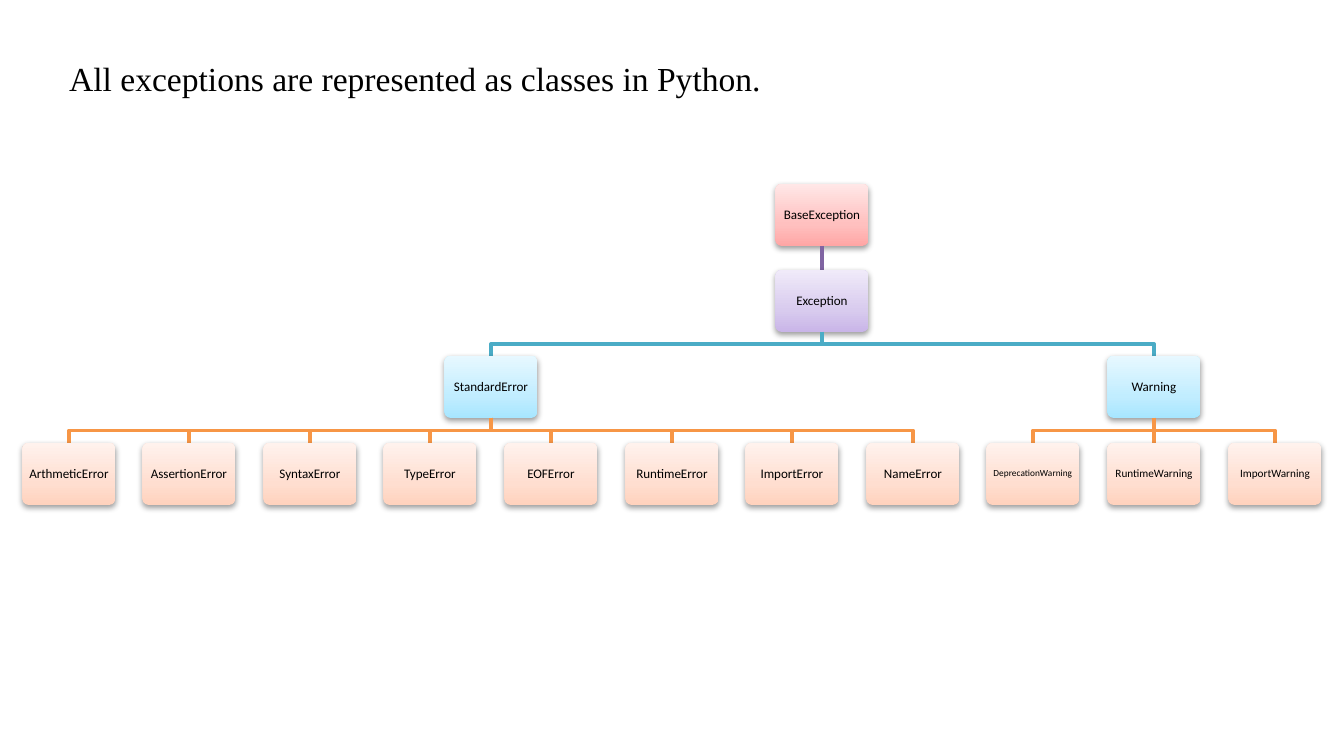
from dataclasses import dataclass, field

from lxml import etree
from pptx import Presentation
from pptx.dml.color import RGBColor
from pptx.enum.shapes import MSO_CONNECTOR as Link, MSO_SHAPE as Preset
from pptx.enum.text import MSO_ANCHOR as Anchor, PP_ALIGN as Align
from pptx.oxml import parse_xml
from pptx.oxml.ns import nsdecls, qn
from pptx.util import Emu, Pt

# Grid, in px
EMU_PER_PX = 914400 / 134.4
BOX_WIDTH, BOX_HEIGHT = 93, 62
FIRST_CENTRE, CENTRE_SPAN = 69, 1206
FIRST_TOP, TOP_SPAN = 184, 259
LEAF_GAPS, LEVEL_GAPS = 10, 3

# Per level: gradient stops from bottom to top
GRADIENTS = [
    ("FFA6A5", "FFC0BF", "FFE7E7"),
    ("C9B5E8", "D8CBEE", "F0EAF9"),
    ("A7E6FF", "C1EDFF", "E7F8FF"),
    ("FFD2BD", "FFDED0", "FFF2ED"),
]
STOP_PERCENTS = (0, 35, 100)
# Per level: line that leads down to it
LINE_COLOURS = [None, "8064A2", "4BACC6", "F79646"]


@dataclass
class Node:
    name: str
    children: list = field(default_factory=list)
    size: int = 7
    centre: int = 0


def px(length):
    return Emu(round(length * EMU_PER_PX))


def colour(value):
    return RGBColor.from_string(value)


def add_span(para, words, font, size):
    span = para.add_run()
    span.text = words
    span.font.name = font
    span.font.size = Pt(size)
    span.font.color.rgb = colour("000000")


def set_gradient(box, stops):
    marks = "".join(
        f'<a:gs pos="{percent * 1000}"><a:srgbClr val="{value}"/></a:gs>'
        for percent, value in zip(STOP_PERCENTS, stops)
    )
    gradient = parse_xml(
        f'<a:gradFill {nsdecls("a")} rotWithShape="1"><a:gsLst>{marks}</a:gsLst>'
        '<a:lin ang="16200000" scaled="0"/></a:gradFill>'
    )
    box._element.spPr.find(qn("a:prstGeom")).addnext(gradient)


def set_shadow(box):
    box.shadow.inherit = False
    effects = box._element.spPr.find(qn("a:effectLst"))
    effects.append(parse_xml(
        f'<a:outerShdw {nsdecls("a")} blurRad="40000" dist="20000" dir="5400000"'
        ' rotWithShape="0"><a:srgbClr val="000000"><a:alpha val="38000"/>'
        '</a:srgbClr></a:outerShdw>'
    ))


def row_top(level):
    return FIRST_TOP + TOP_SPAN * level // LEVEL_GAPS


def add_class_box(page, node, level):
    box = page.shapes.add_shape(
        Preset.ROUNDED_RECTANGLE, px(node.centre - BOX_WIDTH / 2),
        px(row_top(level)), px(BOX_WIDTH), px(BOX_HEIGHT))
    box.adjustments[0] = 0.1
    box.line.fill.background()
    set_gradient(box, GRADIENTS[level])
    set_shadow(box)

    frame = box.text_frame
    frame.word_wrap = True
    frame.vertical_anchor = Anchor.MIDDLE
    inset = px(3 if node.size == 5 else 4)
    frame.margin_left = frame.margin_right = inset
    frame.margin_top = frame.margin_bottom = inset
    para = frame.paragraphs[0]
    para.alignment = Align.CENTER
    para.line_spacing = 0.9
    add_span(para, node.name, "Calibri", node.size)


def add_branch(page, parent, child, level):
    start, end = row_top(level - 1) + BOX_HEIGHT, row_top(level)
    if parent.centre == child.centre:
        branch = page.shapes.add_connector(
            Link.STRAIGHT, px(parent.centre), px(start), px(child.centre), px(end))
        etree.SubElement(branch._element.spPr, qn("a:effectLst"))
    else:
        middle = (start + end) / 2
        builder = page.shapes.build_freeform(px(parent.centre), px(start))
        corners = [(parent.centre, middle), (child.centre, middle), (child.centre, end)]
        builder.add_line_segments([(px(x), px(y)) for x, y in corners], close=False)
        branch = builder.convert_to_shape()
        branch.fill.background()
        branch.shadow.inherit = False
    branch.line.color.rgb = colour(LINE_COLOURS[level])
    branch.line.width = Pt(2)


def place_nodes(node, leaf_count=0):
    """Spread leaves evenly, centre each parent; return the leaves placed so far."""
    if not node.children:
        node.centre = FIRST_CENTRE + CENTRE_SPAN * leaf_count // LEAF_GAPS
        return leaf_count + 1
    for child in node.children:
        leaf_count = place_nodes(child, leaf_count)
    node.centre = (node.children[0].centre + node.children[-1].centre) // 2
    return leaf_count


def draw_tree(page, node, level=0):
    add_class_box(page, node, level)
    for child in node.children:
        add_branch(page, node, child, level + 1)
        draw_tree(page, child, level + 1)


def add_title(page, words):
    box = page.shapes.add_textbox(px(56), px(51), px(1086), px(54))
    box.text_frame.word_wrap = True
    add_span(box.text_frame.paragraphs[0], words, "Times New Roman", 18)


def build_hierarchy():
    errors = ["ArthmeticError", "AssertionError", "SyntaxError", "TypeError",
              "EOFError", "RuntimeError", "ImportError", "NameError"]
    warnings = [("DeprecationWarning", 5), ("RuntimeWarning", 6), ("ImportWarning", 6)]
    standard = Node("StandardError", [Node(name) for name in errors])
    warning = Node("Warning", [Node(name, size=size) for name, size in warnings])
    return Node("BaseException", [Node("Exception", [standard, warning])])


def main():
    deck = Presentation()
    deck.slide_width, deck.slide_height = px(1344), px(756)
    page = deck.slides.add_slide(deck.slide_layouts[6])

    # Class hierarchy
    root = build_hierarchy()
    place_nodes(root)
    draw_tree(page, root)

    # Heading
    add_title(page, "All exceptions are represented as classes in Python.")
    deck.save("out.pptx")


if __name__ == "__main__":
    main()
